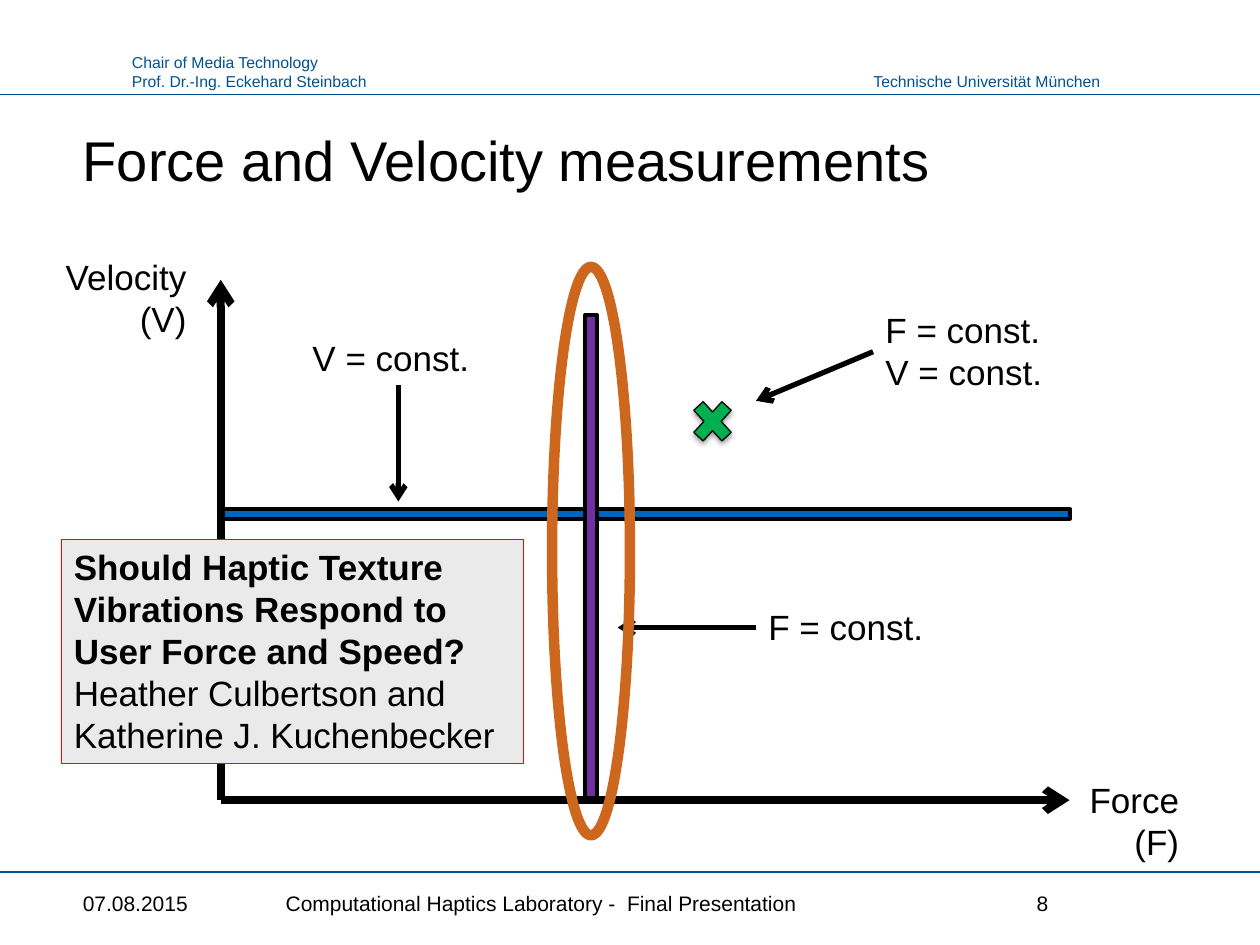
from dataclasses import dataclass

from lxml import etree
from pptx import Presentation
from pptx import util as u
from pptx.dml.color import RGBColor
from pptx.enum import shapes, text
from pptx.oxml import ns

BLACK = RGBColor(0x00, 0x00, 0x00)
HEADER_BLUE = RGBColor(0x00, 0x52, 0x93)
BAR_BLUE = RGBColor(0x00, 0x65, 0xBD)
PURPLE = RGBColor(0x70, 0x30, 0xA0)
GREEN = RGBColor(0x00, 0xB0, 0x50)
ORANGE = RGBColor(0xCE, 0x67, 0x1E)
GREY = RGBColor(0xEA, 0xEA, 0xEA)
RED = RGBColor(0xFF, 0x00, 0x00)

SLIDE_WIDTH, SLIDE_HEIGHT = 25.4, 19.05
ORIGIN_X, ORIGIN_Y = 4.45, 16.13
AXIS_END_X, AXIS_END_Y = 21.56, 5.64
FOOTER_TOP, FOOTER_HEIGHT = 17.78, 0.84

LEFT, RIGHT = text.PP_ALIGN.LEFT, text.PP_ALIGN.RIGHT
TOP, MIDDLE = text.MSO_ANCHOR.TOP, text.MSO_ANCHOR.MIDDLE
Preset = shapes.MSO_SHAPE


@dataclass
class Label:
    lines: list[str]
    left: float
    top: float
    width: float
    height: float
    size: float = 20
    color: RGBColor = BLACK
    align: text.PP_ALIGN = LEFT
    anchor: text.MSO_ANCHOR = TOP
    wrap: bool = True


@dataclass
class Line:
    start: tuple[float, float]
    end: tuple[float, float]
    width: float
    color: RGBColor = BLACK
    arrow: bool = True


@dataclass
class Figure:
    preset: Preset
    left: float
    top: float
    width: float
    height: float
    fill: RGBColor | None
    line: RGBColor
    line_width: float


HEADER_AND_FOOTER = [
    Label(["Technische Universität München"], 17.3, 1.32, 5.13, 0.64,
          9, HEADER_BLUE, RIGHT, wrap=False),
    Label(["Chair of Media Technology", "Prof. Dr.-Ing. Eckehard Steinbach"],
          2.41, 0.94, 5.28, 1.02, 9, HEADER_BLUE, wrap=False),
    Label(["Force and Velocity measurements"], 1.42, 2.36, 22.58, 1.68, 32, anchor=MIDDLE),
    Label(["07.08.2015"], 1.42, FOOTER_TOP, 3.35, FOOTER_HEIGHT, 12, anchor=MIDDLE),
    Label(["Computational Haptics Laboratory -  Final Presentation"],
          5.51, FOOTER_TOP, 14.35, FOOTER_HEIGHT, 12, anchor=MIDDLE),
    Label(["8"], 20.65, FOOTER_TOP, 3.33, FOOTER_HEIGHT, 12, anchor=MIDDLE),
]
RULES = [Line((0, y), (SLIDE_WIDTH, y), 0.75, HEADER_BLUE, False) for y in (17.58, 1.9)]
DIAGRAM_LABELS = [
    Label(["Velocity (V)"], 0.61, 5.03, 3.4, 1.96, align=RIGHT),
    Label(["Force", "(F)"], 20.62, 15.57, 3.4, 1.96, align=RIGHT),
    Label(["F = const.", "V = const."], 17.6, 6.1, 3.96, 1.96),
    Label(["F = const."], 15.24, 12.09, 3.96, 1.12),
    Label(["V = const."], 6.05, 6.65, 3.96, 1.12),
]
POINTERS = [
    Line((17.6, 7.09), (15.24, 8.08), 3),
    Line((15.24, 12.65), (12.45, 12.65), 3),
    Line((8.03, 7.77), (8.03, 10.11), 3),
]
AXES = [
    Line((ORIGIN_X, ORIGIN_Y), (AXIS_END_X, ORIGIN_Y), 4.5),
    Line((ORIGIN_X, ORIGIN_Y), (ORIGIN_X, AXIS_END_Y), 4.5),
]
CROSS = Figure(Preset.MATH_MULTIPLY, 13.82, 7.9, 1.09, 1.19, GREEN, BLACK, 0.75)
VELOCITY_BAR = Figure(Preset.RECTANGLE, ORIGIN_X, 10.26, 17.12, 0.2, BAR_BLUE, BLACK, 2)
FORCE_BAR = Figure(Preset.RECTANGLE, 11.79, 6.35, 0.25, 9.73, PURPLE, BLACK, 2)
HIGHLIGHT = Figure(Preset.OVAL, 11.13, 5.38, 1.57, 11.46, None, ORANGE, 6)
CITATION = Figure(Preset.RECTANGLE, 1.24, 10.87, 9.32, 4.52, GREY, RED, 0.75)
CITATION_LINES = [
    "Should Haptic Texture Vibrations Respond to User Force and Speed?",
    "Heather Culbertson and Katherine J. Kuchenbecker",
]


def write_lines(text_frame, lines: list[str], size: float, color: RGBColor, align) -> None:
    text_frame.text = "\n".join(lines)
    for paragraph in text_frame.paragraphs:
        paragraph.alignment = align
        for run in paragraph.runs:
            run.font.name = "Arial"
            run.font.size = u.Pt(size)
            run.font.color.rgb = color


def draw_label(slide, label: Label) -> None:
    box = slide.shapes.add_textbox(
        u.Cm(label.left), u.Cm(label.top), u.Cm(label.width), u.Cm(label.height))
    box.text_frame.word_wrap = label.wrap
    box.text_frame.vertical_anchor = label.anchor
    write_lines(box.text_frame, label.lines, label.size, label.color, label.align)


def draw_line(slide, line: Line) -> None:
    connector = slide.shapes.add_connector(
        shapes.MSO_CONNECTOR.STRAIGHT, *(u.Cm(value) for value in line.start + line.end))
    connector.line.color.rgb = line.color
    connector.line.width = u.Pt(line.width)
    properties = connector._element.spPr
    if line.arrow:
        etree.SubElement(properties.get_or_add_ln(), ns.qn("a:tailEnd"), type="arrow")
    etree.SubElement(properties, ns.qn("a:effectLst"))


def draw_figure(slide, figure: Figure):
    shape = slide.shapes.add_shape(
        figure.preset, u.Cm(figure.left), u.Cm(figure.top),
        u.Cm(figure.width), u.Cm(figure.height))
    shape.shadow.inherit = False
    if figure.fill is None:
        shape.fill.background()
    else:
        shape.fill.solid()
        shape.fill.fore_color.rgb = figure.fill
    shape.line.color.rgb = figure.line
    shape.line.width = u.Pt(figure.line_width)
    return shape


def add_shadow(shape) -> None:
    effects = shape._element.spPr.find(ns.qn("a:effectLst"))
    shadow = etree.SubElement(
        effects, ns.qn("a:outerShdw"), blurRad=str(u.Pt(3.1)), dist=str(u.Pt(1.6)),
        dir="5400000", rotWithShape="0")
    color = etree.SubElement(shadow, ns.qn("a:srgbClr"), val=str(BLACK))
    etree.SubElement(color, ns.qn("a:alpha"), val="38000")


def draw_citation(slide) -> None:
    text_frame = draw_figure(slide, CITATION).text_frame
    text_frame.word_wrap = True
    text_frame.vertical_anchor = TOP
    write_lines(text_frame, CITATION_LINES, 20, BLACK, LEFT)
    text_frame.paragraphs[0].runs[0].font.bold = True


def main() -> None:
    presentation = Presentation()
    presentation.slide_width = u.Cm(SLIDE_WIDTH)
    presentation.slide_height = u.Cm(SLIDE_HEIGHT)
    slide = presentation.slides.add_slide(presentation.slide_layouts[6])

    for rule in RULES:
        draw_line(slide, rule)
    for label in HEADER_AND_FOOTER + DIAGRAM_LABELS:
        draw_label(slide, label)
    add_shadow(draw_figure(slide, CROSS))
    draw_figure(slide, VELOCITY_BAR)
    for pointer in POINTERS:
        draw_line(slide, pointer)
    draw_figure(slide, FORCE_BAR)
    for axis in AXES:
        draw_line(slide, axis)
    draw_figure(slide, HIGHLIGHT)
    draw_citation(slide)

    presentation.save("out.pptx")


if __name__ == "__main__":
    main()
